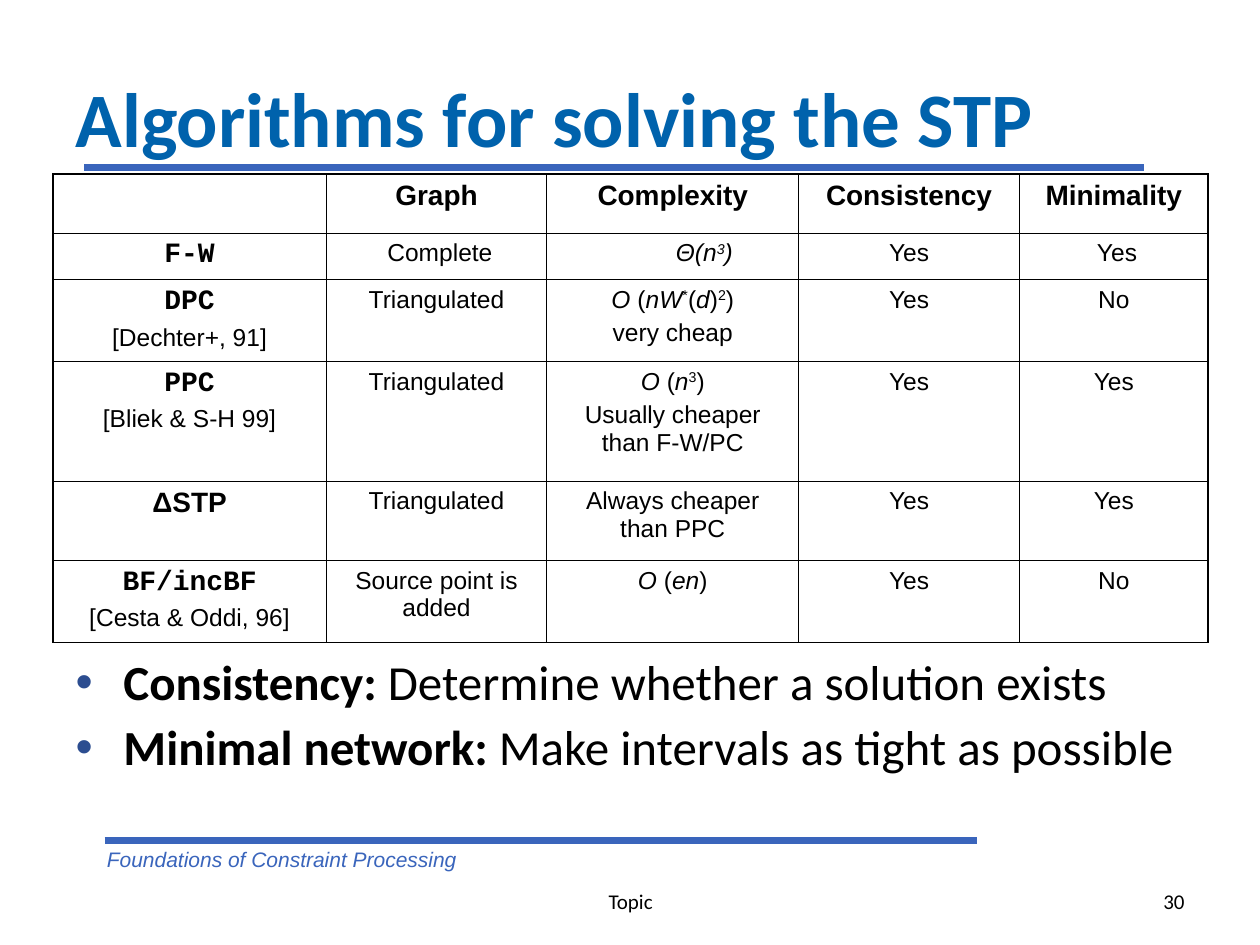
from lxml.etree import SubElement
from pptx import Presentation
from pptx.dml.color import RGBColor
from pptx.enum.shapes import MSO_CONNECTOR
from pptx.enum.text import MSO_ANCHOR as Anchor, MSO_AUTO_SIZE as AutoSize, PP_ALIGN as Align
from pptx.oxml import parse_xml
from pptx.oxml.ns import nsdecls, qn
from pptx.util import Inches, Pt

COLORS = {"ink": "000000", "title": "0062AC", "rule": "3A65BC", "bullet": "2C4D90"}

COLUMN_WIDTHS = [2.17, 1.75, 2, 1.75, 1.5]
ROW_HEIGHTS = [0.47, 0.37, 0.65, 0.95, 0.63, 0.65]
HEADINGS = ["", "Graph", "Complexity", "Consistency", "Minimality"]

ALGORITHMS = [
    (["F-W"], " Complete", [[("Θ(n", "i"), ("3", "is"), (")", "i")]], "Yes", " Yes"),
    (["DPC", "[Dechter+, 91]"], "Triangulated",
     [[("O ", "i"), ("(", ""), ("nW", "i"), ("*", "s"), ("(", ""), ("d", "i"),
       (")", ""), ("2", "s"), (")", "")], [("very cheap", "")]], "Yes", "No"),
    (["PPC", "[Bliek & S-H 99]"], "Triangulated",
     [[("O ", "i"), ("(", ""), ("n", "i"), ("3", "s"), (")", "")],
      [("Usually cheaper than F-W/PC", "")]], "Yes", "Yes"),
    (["ΔSTP"], "Triangulated", [[("Always cheaper than PPC", "")]], "Yes", "Yes"),
    (["BF/incBF", "[Cesta & Oddi, 96]"], "Source point is added",
     [[("O ", "i"), ("(", ""), ("en", "i"), (")", "")]], "Yes", "No"),
]

DEFINITIONS = [
    [("Consistency: ", "b"), ("Determine whether a solution exists", "")],
    [("Minimal network:", "b"), (" Make intervals as tight as possible", "")],
]


class SlideBuilder:
    def __init__(self, slide):
        self.slide = slide

    def style(self, run, size, font="Calibri", color="ink", marks=""):
        run.font.size = Pt(size)
        run.font.name = font
        run.font.color.rgb = RGBColor.from_string(COLORS[color])
        run.font.bold = "b" in marks
        run.font.italic = "i" in marks
        if "s" in marks:
            run._r.get_or_add_rPr().set("baseline", "30000")

    def add_runs(self, paragraph, pieces, size, font="Calibri", color="ink"):
        for words, marks in pieces:
            run = paragraph.add_run()
            run.text = words
            self.style(run, size, font, color, marks)

    def place(self, shape, left, top, width, height):
        shape.left, shape.top = Inches(left), Inches(top)
        shape.width, shape.height = Inches(width), Inches(height)

    def title(self, words, *box):
        heading = self.slide.shapes.title
        self.place(heading, *box)
        frame = heading.text_frame
        frame.text = words
        frame.auto_size = AutoSize.NONE
        frame.vertical_anchor = Anchor.MIDDLE
        frame.paragraphs[0].alignment = Align.LEFT
        self.style(frame.paragraphs[0].runs[0], 44, color="title", marks="b")

    def bullets(self, items, *box):
        body = self.slide.placeholders[1]
        self.place(body, *box)
        frame = body.text_frame
        frame.auto_size = AutoSize.NONE
        for index, pieces in enumerate(items):
            paragraph = frame.add_paragraph() if index else frame.paragraphs[0]
            properties = paragraph._p.get_or_add_pPr()
            properties.set("marL", str(Inches(0.38)))
            properties.set("indent", str(-Inches(0.38)))
            paragraph.line_spacing = 0.9
            paragraph.space_before = Pt(7 if index else 0)
            bullet_color = SubElement(properties, qn("a:buClr"))
            SubElement(bullet_color, qn("a:srgbClr")).set("val", COLORS["bullet"])
            SubElement(properties, qn("a:buChar")).set("char", "•")
            self.add_runs(paragraph, pieces, 28)

    def rule(self, left, right, y):
        line = self.slide.shapes.add_connector(
            MSO_CONNECTOR.STRAIGHT, Inches(left), Inches(y), Inches(right), Inches(y))
        line.line.color.rgb = RGBColor.from_string(COLORS["rule"])
        line.line.width = Pt(4)
        SubElement(line._element.spPr, qn("a:effectLst"))

    def label(self, words, box, align, anchor, font="Calibri", color="ink", marks=""):
        frame = self.slide.shapes.add_textbox(*map(Inches, box)).text_frame
        frame.word_wrap = True
        frame.vertical_anchor = anchor
        frame.text = words
        frame.paragraphs[0].alignment = align
        self.style(frame.paragraphs[0].runs[0], 12, font, color, marks)

    def borders(self, cell, outer_sides):
        properties = cell._tc.get_or_add_tcPr()
        for position, side in enumerate("LRTB"):
            width = Pt(1.08 if side in outer_sides else 0.45)
            properties.insert(position, parse_xml(
                f'<a:ln{side} {nsdecls("a")} w="{width}"><a:solidFill>'
                f'<a:srgbClr val="{COLORS["ink"]}"/></a:solidFill></a:ln{side}>'))

    def cell_text(self, cell, paragraphs, size=14, font="Arial"):
        frame = cell.text_frame
        for index, pieces in enumerate(paragraphs):
            paragraph = frame.add_paragraph() if index else frame.paragraphs[0]
            paragraph.alignment = Align.CENTER
            paragraph.space_before = Pt(3.5 if index else 0)
            self.add_runs(paragraph, pieces, size, font)

    def table(self, left, top):
        rows, columns = len(ROW_HEIGHTS), len(COLUMN_WIDTHS)
        grid = self.slide.shapes.add_table(
            rows, columns, Inches(left), Inches(top),
            Inches(sum(COLUMN_WIDTHS)), Inches(sum(ROW_HEIGHTS))).table
        grid.first_row = grid.horz_banding = False
        for column, width in zip(grid.columns, COLUMN_WIDTHS):
            column.width = Inches(width)
        for row, height in zip(grid.rows, ROW_HEIGHTS):
            row.height = Inches(height)
        for r in range(rows):
            for c in range(columns):
                cell = grid.cell(r, c)
                cell.fill.background()
                edges = {"L": c == 0, "R": c == columns - 1, "T": r == 0, "B": r == rows - 1}
                self.borders(cell, [side for side, outer in edges.items() if outer])
        for c, heading in enumerate(HEADINGS):
            if heading:
                self.cell_text(grid.cell(0, c), [[(heading, "b")]], 16)
        for r, (names, graph, complexity, consistency, minimality) in enumerate(ALGORITHMS, 1):
            self.cell_text(grid.cell(r, 0), [[(name, "" if i else "b")] for i, name in enumerate(names)])
            name_font = grid.cell(r, 0).text_frame.paragraphs[0].runs[0].font
            name_font.size = Pt(16)
            name_font.name = "Arial" if names[0] == "ΔSTP" else "Courier New"
            self.cell_text(grid.cell(r, 2), complexity)
            for c, words in ((1, graph), (3, consistency), (4, minimality)):
                self.cell_text(grid.cell(r, c), [[(words, "")]])
        cubic = grid.cell(1, 2).text_frame.paragraphs[0]
        cubic.level = 1
        cubic._p.get_or_add_pPr().set("marL", str(Inches(0.5)))


def main():
    deck = Presentation()
    deck.slide_width, deck.slide_height = Inches(10), Inches(7.5)
    page = SlideBuilder(deck.slides.add_slide(deck.slide_layouts[1]))
    page.rule(0.67, 9.08, 1.33)
    page.label("Foundations of Constraint Processing", (0.75, 6.67, 5.25, 0.3),
               Align.LEFT, Anchor.TOP, "Arial", "rule", "i")
    page.rule(0.83, 7.75, 6.67)
    page.title("Algorithms for solving the STP", 0.5, 0.3, 9, 1.25)
    page.bullets(DEFINITIONS, 0.5, 5.17, 9, 1.53)
    page.label("Topic", (3.42, 6.95, 3.17, 0.4), Align.CENTER, Anchor.MIDDLE)
    page.label("30", (7.17, 6.95, 2.33, 0.4), Align.RIGHT, Anchor.MIDDLE)
    page.table(0.42, 1.38)
    deck.save("out.pptx")


if __name__ == "__main__":
    main()
